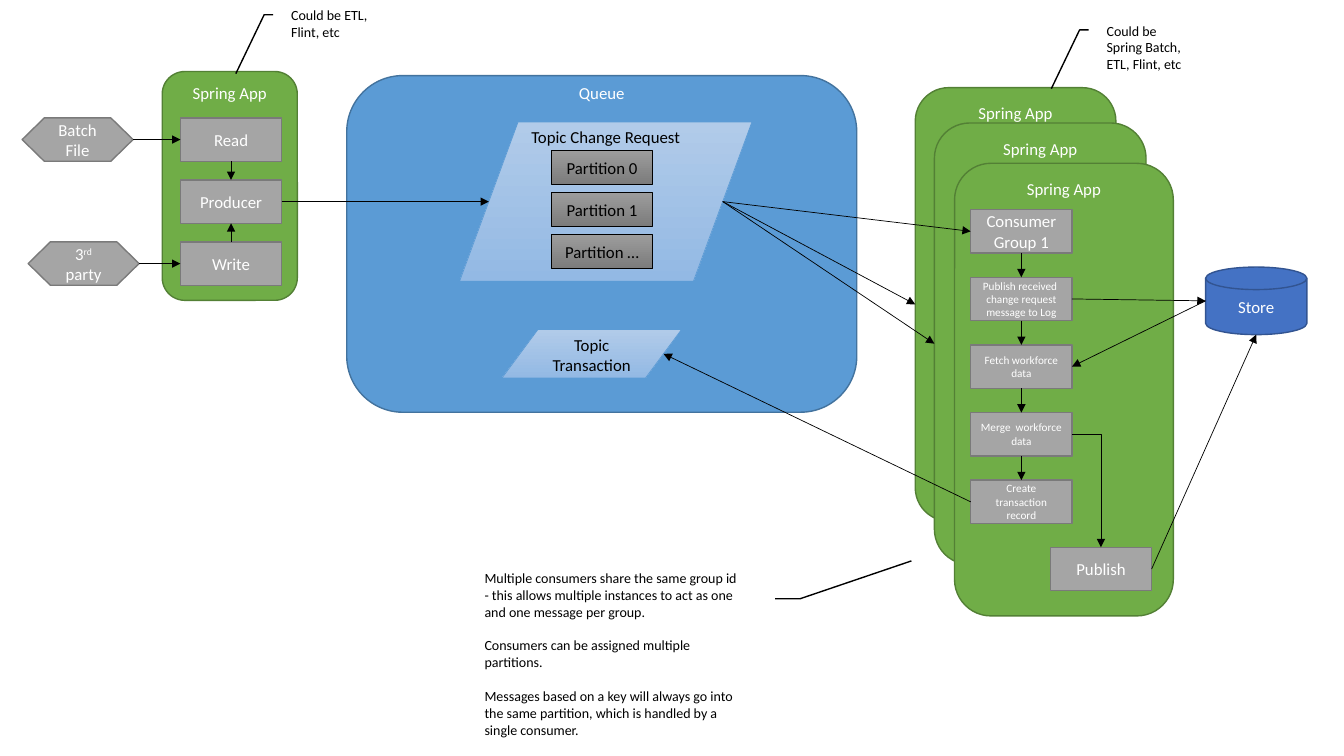
from itertools import pairwise
from lxml.etree import SubElement
from pptx import Presentation
from pptx.dml.color import RGBColor
from pptx.enum.shapes import MSO_CONNECTOR, MSO_SHAPE
from pptx.enum.text import MSO_ANCHOR, PP_ALIGN
from pptx.oxml.ns import qn
from pptx.util import Inches, Pt

CELL = Inches(0.1)
COLS, ROWS = 133.33, 75
STEP_W, STEP_H = 10.05, 4.3
TITLE_W = 8
COLORS = {
    "white": "FFFFFF", "black": "000000",
    "green": "70AD47", "green_edge": "538035",
    "blue": "5B9BD5", "blue_edge": "43739E",
    "gray": "A5A5A5", "gray_edge": "7A7A7A",
    "navy": "4472C4", "navy_edge": "325491",
    "topic_top": "B1CBE9", "topic_end": "93B9E4",
    "part_top": "9D9D9D", "part_end": "7C7C7C",
}
LEFT, RIGHT, TOP, BOTTOM = (0, 0.5), (1, 0.5), (0.5, 0), (0.5, 1)
TOPIC_LEFT, TOPIC_RIGHT = (0.1, 0.5), (0.9, 0.5)


def rgb(name):
    return RGBColor.from_string(COLORS[name])


def cells(*values):
    return [round(v * CELL) for v in values]


def write(tf, text, size=12, color="white", align=PP_ALIGN.CENTER,
          anchor=MSO_ANCHOR.MIDDLE, gap=0):
    tf.word_wrap, tf.vertical_anchor = True, anchor
    for i, line in enumerate(text.split("\n")):
        p = tf.add_paragraph() if i else tf.paragraphs[0]
        p.alignment = align
        p.space_before = Pt(gap if i else 0)
        for j, part in enumerate(line.split("^")):
            r = p.add_run()
            r.text = part
            r.font.name, r.font.size = "Calibri", Pt(size)
            r.font.color.rgb = rgb(color)
            if j % 2:
                r.font._element.set("baseline", "30000")


def shape(sp, kind, box, fill, edge, text="", weight=1, **fmt):
    s = sp.add_shape(kind, *cells(*box))
    s.shadow.inherit = False
    if isinstance(fill, tuple):
        s.fill.gradient()
        s.fill.gradient_angle = 270
        for stop, name in zip(s.fill.gradient_stops, fill):
            stop.color.rgb = rgb(name)
    else:
        s.fill.solid()
        s.fill.fore_color.rgb = rgb(fill)
    s.line.color.rgb, s.line.width = rgb(edge), Pt(weight)
    if text:
        write(s.text_frame, text, **fmt)
    return s


def card(sp, box, text=""):
    return shape(sp, MSO_SHAPE.ROUNDED_RECTANGLE, box, "green", "green_edge",
                 text, anchor=MSO_ANCHOR.TOP)


def step(sp, x, y, text, size=12):
    return shape(sp, MSO_SHAPE.FLOWCHART_PROCESS, (x, y, STEP_W, STEP_H),
                 "gray", "gray_edge", text, size=size)


def topic(sp, box, text):
    return shape(sp, MSO_SHAPE.FLOWCHART_DATA, box, ("topic_top", "topic_end"),
                 "blue", text, 0.5, color="black", anchor=MSO_ANCHOR.TOP)


def arrow(sp, start, from_side, end, to_side, bent=False):
    points = [v for s, (fx, fy) in ((start, from_side), (end, to_side))
              for v in (round(s.left + fx * s.width), round(s.top + fy * s.height))]
    c = sp.add_connector(MSO_CONNECTOR.ELBOW if bent else MSO_CONNECTOR.STRAIGHT, *points)
    c.line.color.rgb, c.line.width = rgb("black"), Pt(0.5)
    sp_pr = c._element.spPr
    if bent:
        sp_pr.find(qn("a:prstGeom")).set("prst", "bentConnector2")
    SubElement(sp_pr.find(qn("a:ln")), qn("a:tailEnd"), type="triangle")
    SubElement(sp_pr, qn("a:effectLst"))


def note(sp, box, text, tip=(1.06, -0.45), flip=False):
    s = shape(sp, MSO_SHAPE.LINE_CALLOUT_2_NO_BORDER, box, "white", "black", text,
              size=10, color="black", align=PP_ALIGN.LEFT,
              anchor=MSO_ANCHOR.TOP, gap=12.2)
    for i, value in enumerate((0.19, -0.08, 0.19, -0.17, *tip)):
        s.adjustments[i] = value
    if flip:
        s._element.spPr.find(qn("a:xfrm")).set("flipH", "1")


def producer_app(sp, box):
    x, y = box[:2]
    card(sp, box, "Spring App")
    tops = [y + 4.6 + 6.15 * i for i in range(3)]
    read, producer, send = [step(sp, x + 1.8, top, text)
                            for top, text in zip(tops, ("Read", "Producer", "Write"))]
    for left, text, target in ((x - 13.9, "Batch File", read),
                               (x - 13.3, "3^rd^ party", send)):
        top = tops[0] if target is read else tops[2]
        source = shape(sp, MSO_SHAPE.FLOWCHART_PREPARATION, (left, top, 11, STEP_H),
                       "gray", "gray_edge", text)
        arrow(sp, source, RIGHT, target, LEFT)
    arrow(sp, read, BOTTOM, producer, TOP)
    arrow(sp, send, TOP, producer, BOTTOM)
    return producer


def broker(sp, box):
    x, y, w, _ = box
    shape(sp, MSO_SHAPE.ROUNDED_RECTANGLE, box, "blue", "blue_edge")
    title = sp.add_textbox(*cells(x + (w - TITLE_W) / 2, y + 0.2, TITLE_W, 3))
    write(title.text_frame, "Queue", anchor=MSO_ANCHOR.TOP)
    request = topic(sp, (x + 11.2, y + 4.6, 29, 15.8), "Topic Change Request")
    for i, name in enumerate(("0", "1", "…")):
        shape(sp, MSO_SHAPE.FLOWCHART_PROCESS,
              (x + 20.3, y + 7.4 + 4.17 * i, STEP_W, 3.4),
              ("part_top", "part_end"), "black", f"Partition {name}", 0.5, color="black")
    transaction = topic(sp, (x + 15.4, y + 25.2, 17.8, 4.8), "Topic Transaction")
    return request, transaction


def consumer_apps(sp, box):
    x, y, w, h = box
    layers = [(0, 0, w, h), (1.9, 3.5, w + 1.1, h + 0.8), (3.9, 7.5, w + 1.8, h + 1.9)]
    cards = [card(sp, (x + dx, y + dy, cw, ch), "Spring App") for dx, dy, cw, ch in layers]
    left, top = x + layers[-1][0], y + layers[-1][1]
    texts = ("Consumer Group 1", "Publish received  change request message to Log",
             "Fetch workforce data", "Merge  workforce data", "Create transaction record")
    steps = [step(sp, left + 1.6, top + 4.6 + 6.71 * i, text, 8 if i else 12)
             for i, text in enumerate(texts)]
    for upper, lower in pairwise(steps):
        arrow(sp, upper, BOTTOM, lower, TOP)
    publish = step(sp, left + 9.5, top + 38.1, "Publish")
    arrow(sp, steps[3], RIGHT, publish, TOP, bent=True)
    return cards, steps, publish


def database(sp, box):
    return shape(sp, MSO_SHAPE.FLOWCHART_MAGNETIC_DISK, box, "navy", "navy_edge", "Store")


def event_flow(sp):
    producer = producer_app(sp, (16.1, 7.1, 13.4, 22.7))
    request, transaction = broker(sp, (34.4, 7.5, 50.6, 33.4))
    (back, middle, _), steps, publish = consumer_apps(sp, (90.8, 8.7, 19.9, 43))
    group, log, fetch, _, create = steps
    store = database(sp, (119.6, 26.5, STEP_W, 6.7))
    arrow(sp, producer, RIGHT, request, TOPIC_LEFT)
    for target in (group, middle, back):
        arrow(sp, request, TOPIC_RIGHT, target, LEFT)
    arrow(sp, log, RIGHT, store, LEFT)
    arrow(sp, store, LEFT, fetch, RIGHT)
    arrow(sp, publish, RIGHT, store, BOTTOM)
    arrow(sp, create, LEFT, transaction, TOPIC_RIGHT)
    note(sp, (27.9, 0.2, 10, 6.7), "Could be ETL, Flint, etc")
    note(sp, (108.8, 1.7, 10, 6.7), "Could be Spring Batch, ETL, Flint, etc")
    note(sp, (47.1, 56, 27.6, 17.9),
         "Multiple consumers share the same group id - this allows multiple instances "
         "to act as one and one message per group.\n"
         "Consumers can be assigned multiple partitions.\n"
         "Messages based on a key will always go into the same partition, "
         "which is handled by a single consumer.",
         tip=(-0.02, -0.57), flip=True)


prs = Presentation()
prs.slide_width, prs.slide_height = cells(COLS, ROWS)
event_flow(prs.slides.add_slide(prs.slide_layouts[6]).shapes)
prs.save("out.pptx")
